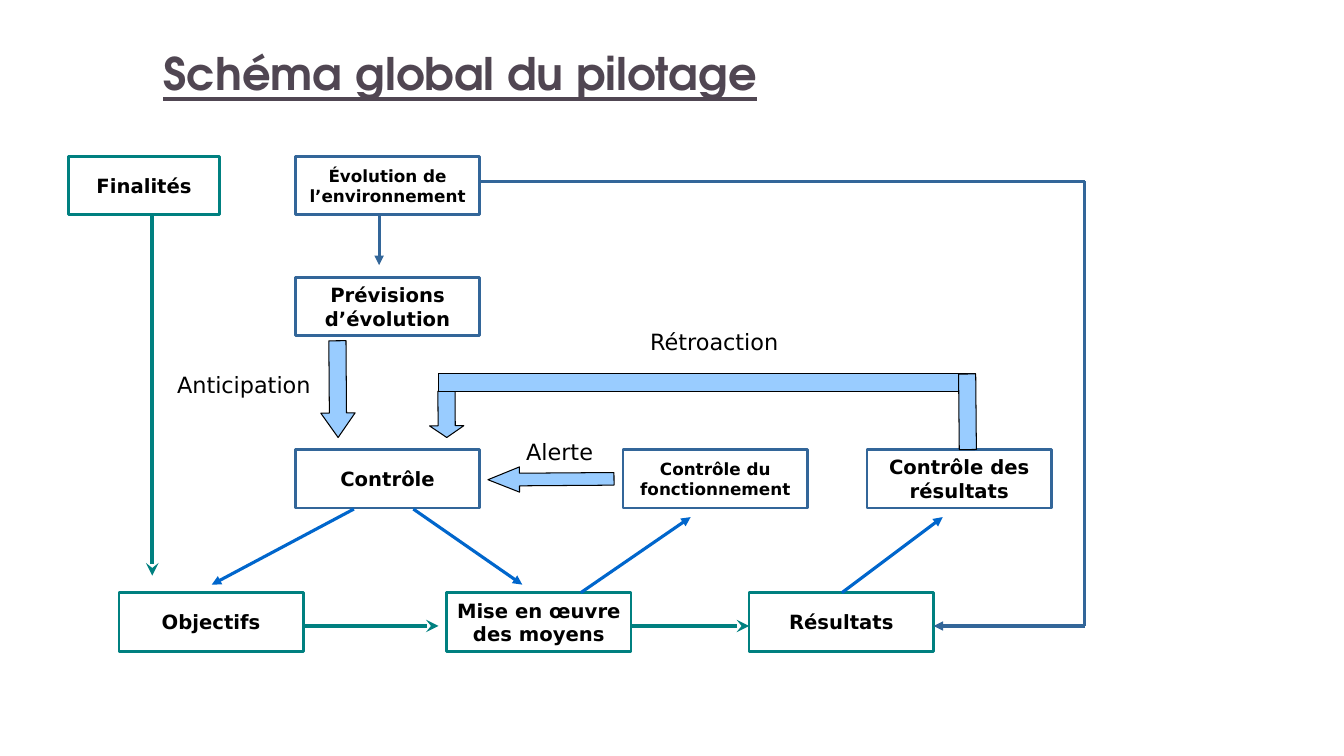
from pptx import Presentation
from pptx.dml.color import RGBColor
from pptx.enum.shapes import MSO_CONNECTOR as Conn, MSO_SHAPE as Kind
from pptx.enum.text import MSO_ANCHOR as Anchor, PP_ALIGN as Align
from pptx.oxml.ns import qn
from pptx.util import Inches, Pt
from lxml.etree import SubElement as add_node

TEAL, NAVY, BLUE, SKY = "008080", "336699", "0066CC", "99CCFF"
WHITE, BLACK, PLUM = "FFFFFF", "000000", "504652"
BODY, HEAD = "DejaVu Sans", "TeX Gyre Adventor"
BOX_W, BOX_H = 1.83, 0.58
ROWS = {"top": 1.55, "plan": 2.75, "check": 4.46, "act": 5.88}
FLOW = 6.21  # height of the arrows in the bottom row


def paint(target, color):
    """Set a solid colour on a fill."""
    target.solid()
    target.fore_color.rgb = RGBColor.from_string(color)


def write(shape, text, size, color=BLACK, font=BODY, bold=False,
          align=Align.LEFT, anchor=Anchor.TOP):
    frame = shape.text_frame
    frame.text = text
    frame.word_wrap = True
    frame.vertical_anchor = anchor
    para = frame.paragraphs[0]
    para.alignment = align
    face = para.runs[0].font
    face.name, face.size, face.bold = font, Pt(size), bold
    paint(face.fill, color)
    return para


def label(slide, text, left, top, width, height=0.37, size=16, **style):
    area = slide.shapes.add_textbox(*map(Inches, (left, top, width, height)))
    return write(area, text, size, **style)


def block(slide, kind, place, fill, line, weight, turn=0):
    shape = slide.shapes.add_shape(kind, *map(Inches, place))
    shape.shadow.inherit = False
    shape.rotation = turn
    paint(shape.fill, fill)
    paint(shape.line.fill, line)
    shape.line.width = Pt(weight)
    return shape


def box(slide, text, left, row, color, size=14, width=BOX_W):
    shape = block(slide, Kind.RECTANGLE, (left, ROWS[row], width, BOX_H),
                  WHITE, color, 2)
    frame = shape.text_frame
    frame.margin_left = frame.margin_right = Inches(0.05)
    write(shape, text, size, bold=True, align=Align.CENTER,
          anchor=Anchor.MIDDLE)


def link(slide, start, end, color, weight=2.25, head="triangle"):
    line = slide.shapes.add_connector(
        Conn.STRAIGHT, *map(Inches, start + end))
    paint(line.line.fill, color)
    line.line.width = Pt(weight)
    if head:
        add_node(line.line._get_or_add_ln(), qn("a:tailEnd"), type=head)
    add_node(line._element.spPr, qn("a:effectLst"))


def arrow(slide, place, turn, tip):
    shape = block(slide, Kind.LEFT_ARROW, place, SKY, BLACK, 0.75, turn)
    shape.adjustments[0] = 0.5
    shape.adjustments[1] = tip


def main():
    deck = Presentation()
    deck.slide_width, deck.slide_height = Inches(13.33), Inches(7.5)
    slide = deck.slides.add_slide(deck.slide_layouts[6])

    # Title
    title = label(slide, "Schéma global du pilotage", 1.52, 0.42, 9.5, 0.61,
                  32, color=PLUM, font=HEAD, bold=True, anchor=Anchor.BOTTOM)
    title.line_spacing = 0.8
    title.runs[0].font.underline = True

    # Boxes
    box(slide, "Finalités", 0.68, "top", TEAL, width=1.5)
    for text, left, row, color, size in (
        ("Objectifs", 1.18, "act", TEAL, 14),
        ("Mise en œuvre des moyens", 4.43, "act", TEAL, 14),
        ("Résultats", 7.43, "act", TEAL, 14),
        ("Contrôle", 2.93, "check", NAVY, 14),
        ("Contrôle du fonctionnement", 6.18, "check", NAVY, 12),
        ("Contrôle des résultats", 8.6, "check", NAVY, 14),
        ("Prévisions d’évolution", 2.93, "plan", NAVY, 14),
        ("Évolution de l’environnement", 2.93, "top", NAVY, 12),
    ):
        box(slide, text, left, row, color, size)

    # Control links
    for start, end in (
        ((3.51, 5.05), (2.1, 5.8)),
        ((4.1, 5.05), (5.18, 5.8)),
        ((5.76, 5.88), (6.85, 5.13)),
        ((8.35, 5.88), (9.35, 5.13)),
    ):
        link(slide, start, end, BLUE)

    # Main flow
    for start, end in (
        ((6.26, FLOW), (7.43, FLOW)),
        ((3.01, FLOW), (4.35, FLOW)),
        ((1.51, 2.13), (1.51, 5.71)),
    ):
        link(slide, start, end, TEAL, 3, "stealth")

    # Influence of the environment
    link(slide, (3.76, 2.13), (3.76, 2.63), NAVY)
    route = [(4.76, 1.8), (10.76, 1.8), (10.76, FLOW), (9.26, FLOW)]
    for start, end in zip(route, route[1:]):
        link(slide, start, end, NAVY,
             head="triangle" if end == route[-1] else None)

    # Block arrows and feedback path
    arrow(slide, (2.87, 3.69, 0.96, 0.34), 269.6, 0.715)
    arrow(slide, (4.2, 3.94, 0.46, 0.34), 269.6, 0.342)
    for place, turn in (((4.35, 3.71, 5.33, 0.17), 0),
                        ((9.22, 4, 0.75, 0.17), 89.5)):
        block(slide, Kind.RECTANGLE, place, SKY, BLACK, 0.75, turn)
    arrow(slide, (4.84, 4.63, 1.25, 0.25), 359.6, 1.25)

    # Labels
    label(slide, "Rétroaction", 6.35, 3.21, 1.92)
    label(slide, "Alerte", 5.12, 4.3, 0.96)
    label(slide, "Anticipation", 1.26, 3.63, 1.92, align=Align.RIGHT)

    deck.save("out.pptx")


main()
